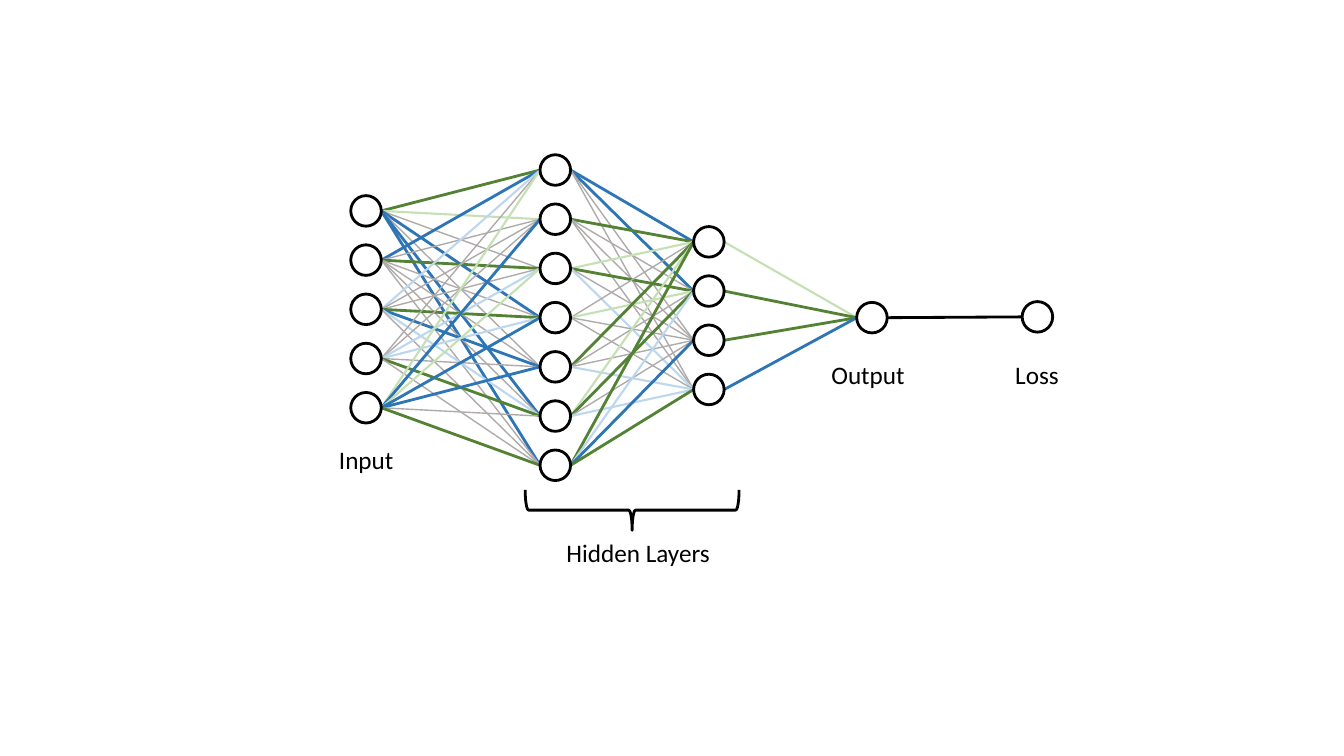
import pptx
import pptx.dml.color
import pptx.enum.shapes
import pptx.enum.text
import pptx.oxml.ns
import pptx.util
from lxml import etree

Cm = pptx.util.Cm
Pt = pptx.util.Pt
RGB = pptx.dml.color.RGBColor
SHAPE = pptx.enum.shapes.MSO_SHAPE

BLACK = RGB(0x00, 0x00, 0x00)
GREEN = RGB(0x54, 0x82, 0x35)
LIME = RGB(0xC5, 0xE0, 0xB4)
BLUE = RGB(0x2E, 0x75, 0xB6)
SKY = RGB(0xBD, 0xD7, 0xEE)
GRAY = RGB(0xAF, 0xAB, 0xAB)

# Each letter stands for the colour and width of one weight.
STYLES = {
    "G": (GREEN, 2), "g": (LIME, 1.5), "B": (BLUE, 2),
    "b": (SKY, 1.5), ".": (GRAY, 1), "K": (BLACK, 2),
}
SIZE = 0.77   # node diameter, cm
PITCH = 1.24  # distance between nodes in a layer, cm

# Left, top and node count of each layer, from input to loss.
LAYERS = [
    (8.84, 4.93, 5), (13.61, 3.9, 7), (17.48, 5.71, 4),
    (21.59, 7.62, 1), (25.76, 7.6, 1),
]
# One row per source node, one letter per target node.
WEIGHTS = [
    ["Gg.B.BB", "B.G....", "b..GBb.", "..bb.G.", "gBgBB.G"],
    ["BB..", "G...", "gG.b", ".g..", "G..b", "gG.b", "GbBG"],
    ["g", "G", "G", "B"],
    ["K"],
]
# Text, left, top and width of each label.
LABELS = [
    ("Input", 8.28, 11.07, 1.9), ("Hidden Layers", 14.0, 13.41, 4.17),
    ("Output", 20.68, 8.94, 2.39), ("Loss", 25.32, 8.92, 1.63),
]


def add_edge(slide, start, end, style):
    """Draw one weight between two points."""
    color, width = STYLES[style]
    edge = slide.shapes.add_connector(
        pptx.enum.shapes.MSO_CONNECTOR.STRAIGHT,
        *(Cm(n) for n in start + end))
    edge.line.color.rgb = color
    edge.line.width = Pt(width)
    etree.SubElement(edge._element.spPr, pptx.oxml.ns.qn("a:effectLst"))


def link_layers(slide, source, target, rows):
    """Join every node of one layer to every node of the next."""
    for i, row in enumerate(rows):
        start = (source[0] + SIZE, source[1] + i * PITCH + SIZE / 2)
        for j, style in enumerate(row):
            end = (target[0], target[1] + j * PITCH + SIZE / 2)
            add_edge(slide, start, end, style)


def add_outline(slide, kind, left, top, width, height):
    """Add an unfilled shape with a black outline."""
    shape = slide.shapes.add_shape(
        kind, Cm(left), Cm(top), Cm(width), Cm(height))
    shape.shadow.inherit = False
    shape.fill.background()
    shape.line.color.rgb = BLACK
    shape.line.width = Pt(2)
    return shape


def add_layer(slide, left, top, count):
    """Stack the nodes of one layer."""
    for i in range(count):
        add_outline(slide, SHAPE.OVAL, left, top + i * PITCH, SIZE, SIZE)


def add_label(slide, text, left, top, width):
    """Add a centred one-line label."""
    box = slide.shapes.add_textbox(Cm(left), Cm(top), Cm(width), Cm(1.03))
    frame = box.text_frame
    frame.word_wrap = False
    frame.auto_size = pptx.enum.text.MSO_AUTO_SIZE.SHAPE_TO_FIT_TEXT
    para = frame.paragraphs[0]
    para.alignment = pptx.enum.text.PP_ALIGN.CENTER
    run = para.add_run()
    run.text = text
    run.font.name = "Calibri"
    run.font.size = Pt(18)
    run.font.color.rgb = BLACK


def main():
    """Build the network slide and save it."""
    deck = pptx.Presentation()
    deck.slide_width, deck.slide_height = Cm(33.87), Cm(19.05)
    slide = deck.slides.add_slide(deck.slide_layouts[6])
    for source, target, rows in zip(LAYERS, LAYERS[1:], WEIGHTS):
        link_layers(slide, source, target, rows)
    for layer in LAYERS:
        add_layer(slide, *layer)
    for label in LABELS:
        add_label(slide, *label)
    brace = add_outline(slide, SHAPE.RIGHT_BRACE, 15.42, 10.16, 1.02, 5.39)
    brace.rotation = 90
    deck.save("out.pptx")


main()
